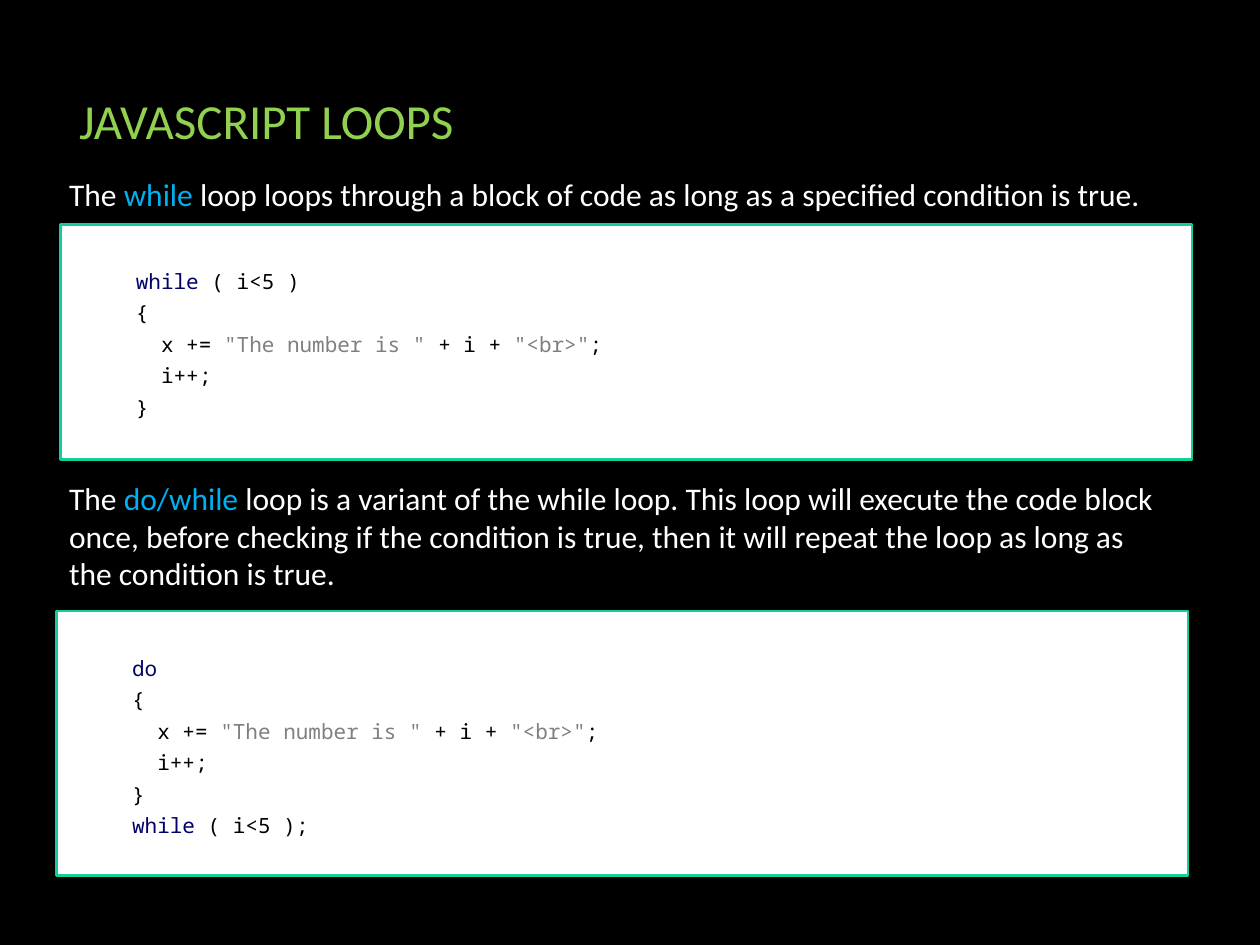
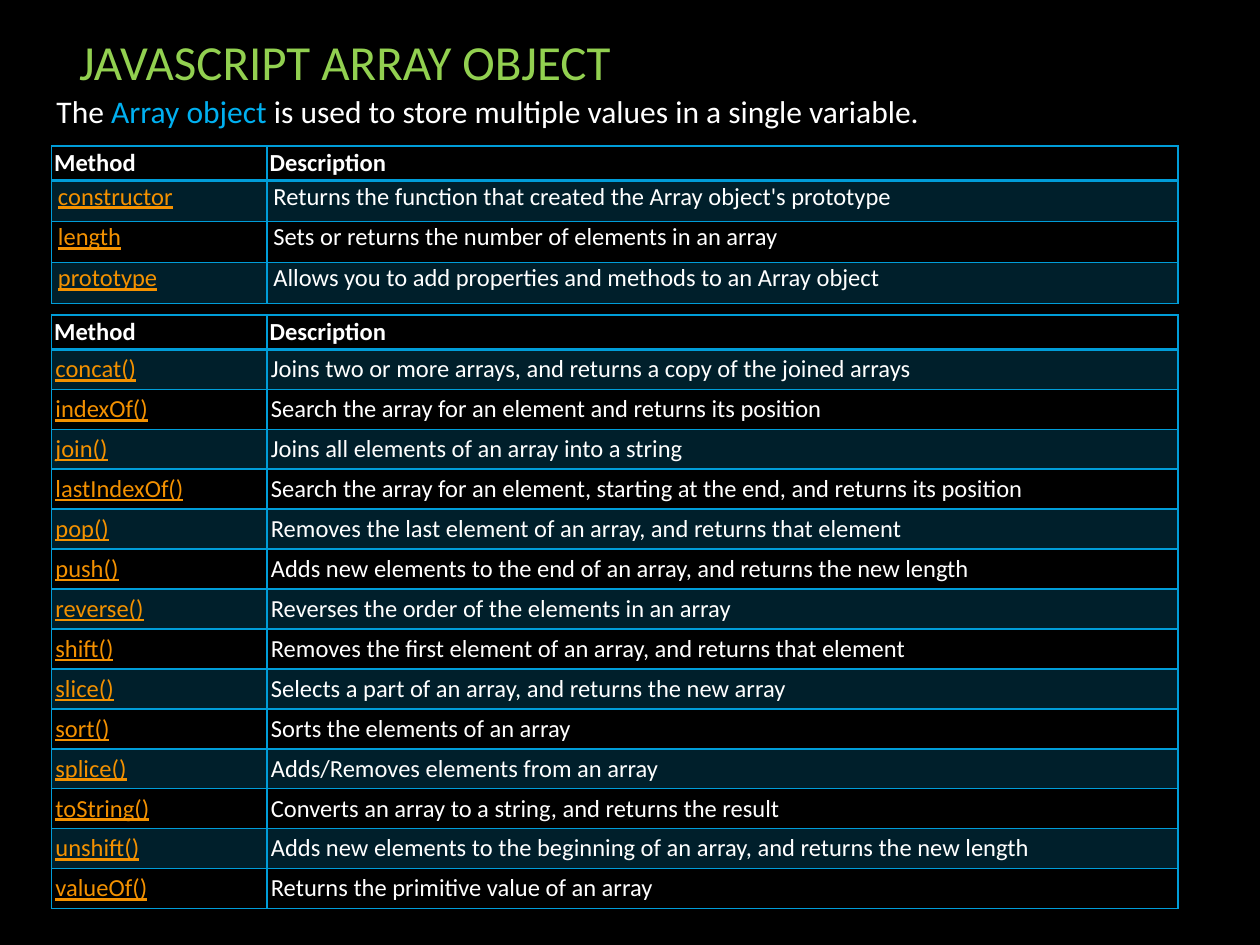
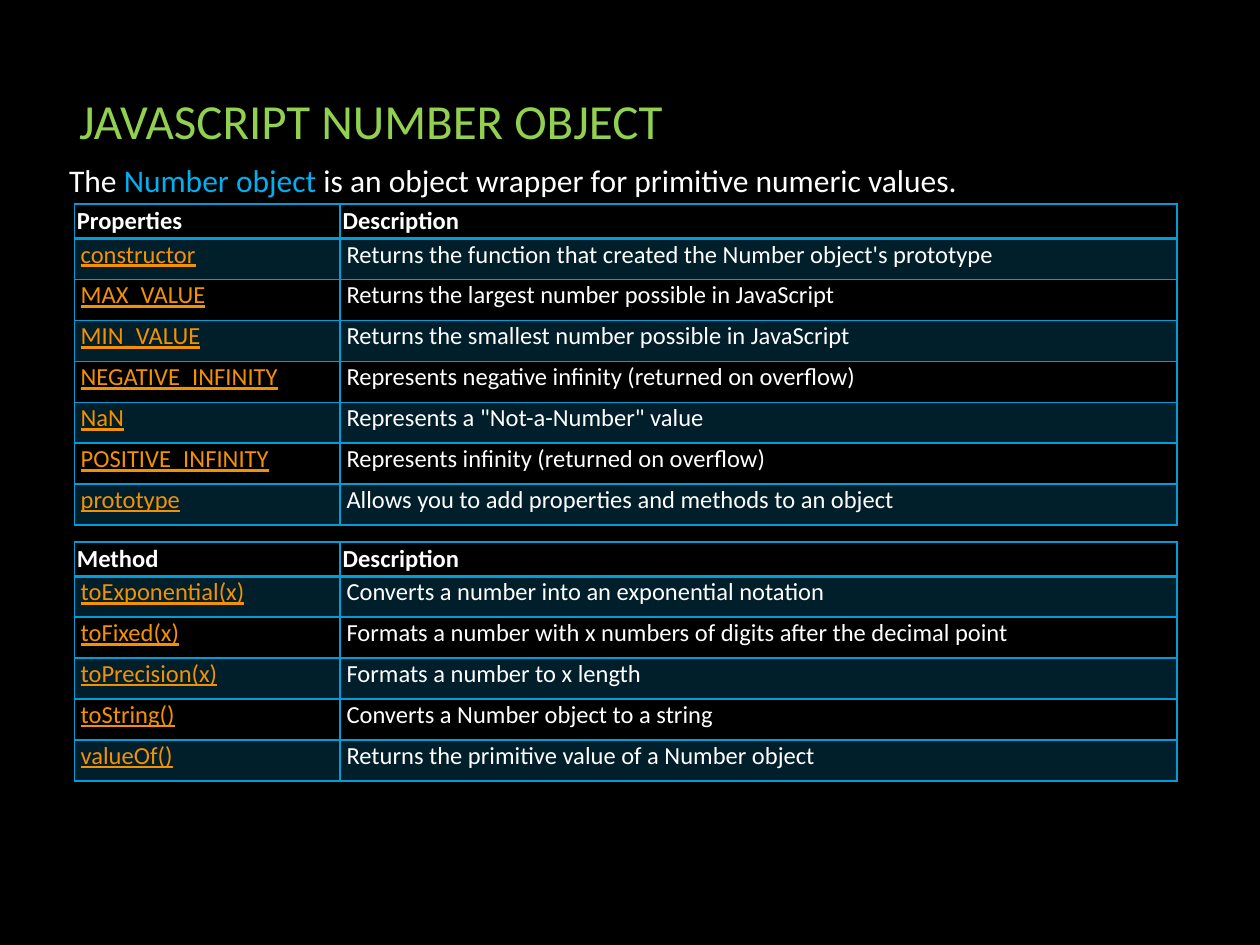
from copy import deepcopy
from dataclasses import dataclass

from lxml.etree import SubElement
from pptx import Presentation
from pptx.dml.color import RGBColor as Rgb
from pptx.enum.shapes import MSO_SHAPE as Preset
from pptx.enum.text import MSO_ANCHOR as Anchor
from pptx.oxml.ns import qn
from pptx.util import Inches, Pt

# The grid: 100 columns by 75 rows of equal squares
SLIDE_WIDTH, SLIDE_HEIGHT = Inches(10), Inches(7.5)
COLUMNS, ROWS = 100, 75


def cols(count: float) -> int:
    return round(SLIDE_WIDTH * count / COLUMNS)


def rows(count: float) -> int:
    return round(SLIDE_HEIGHT * count / ROWS)


@dataclass(frozen=True)
class Theme:
    background: str = "000000"
    title: str = "92D050"
    text: str = "FFFFFF"
    term: str = "00B0F0"
    link: str = "F49100"
    grid: str = "009DD9"
    band_alpha: int = 20000
    panel: str = "FFFFFF"
    panel_line: str = "10CF9B"
    code: str = "000000"
    keyword: str = "000066"
    literal: str = "808080"
    font: str = "Calibri"
    code_font: str = "Noto Sans Mono"
    title_size: int = 28
    body_size: int = 18
    table_size: int = 14
    code_size: int = 12
    code_leading: int = 18
    cell_leading: float = 12.7


THEME = Theme()


@dataclass(frozen=True)
class Box:
    """A rectangle in grid columns and rows."""
    left: float
    top: float
    width: float
    height: float

    def place(self) -> tuple[int, int, int, int]:
        return cols(self.left), rows(self.top), cols(self.width), rows(self.height)


@dataclass(frozen=True)
class Span:
    text: str
    color: str = THEME.text


@dataclass(frozen=True)
class CellStyle:
    """Body cell measures in grid units, with an optional fixed leading."""
    inset_x: float
    inset_y: float
    height: float
    leading: float | None = None


@dataclass(frozen=True)
class Listing:
    """A two-column reference table."""
    left: float
    top: float
    widths: tuple[float, float]
    style: CellStyle
    heading: str
    entries: list[tuple[str, str]]


ROOMY = CellStyle(0.5, 0.7, 3.25, THEME.cell_leading)
TIGHT = CellStyle(0.3, 0.4, 3.17)
HEADER = CellStyle(0.2, 0.2, 2.7)


# Text
def style_run(run, color: str, size: float, font: str) -> None:
    run.font.name = font
    run.font.size = Pt(size)
    run.font.color.rgb = Rgb.from_string(color)


def write_spans(para, spans: list[Span], size: float, font: str) -> None:
    for span in spans:
        for index, line in enumerate(span.text.split("\n")):
            if index:
                para.add_line_break()
            if line:
                run = para.add_run()
                run.text = line
                style_run(run, span.color, size, font)
    # Line breaks take the format of the first run
    for line_break in para._p.findall(qn("a:br")):
        line_break.append(deepcopy(para.runs[0].font._element))


def add_text(page, box: Box, spans: list[Span], size: float, anchor=Anchor.TOP) -> None:
    frame = page.shapes.add_textbox(*box.place()).text_frame
    frame.word_wrap = True
    frame.vertical_anchor = anchor
    write_spans(frame.paragraphs[0], spans, size, THEME.font)


def add_page(deck, title: str, title_top: float = 6):
    page = deck.slides.add_slide(deck.slide_layouts[6])
    page.background.fill.solid()
    page.background.fill.fore_color.rgb = Rgb.from_string(THEME.background)
    add_text(page, Box(5.3, title_top, 89.5, 7.1), [Span(title, THEME.title)],
             THEME.title_size, Anchor.MIDDLE)
    return page


def add_intro(page, left: float, top: float, before: str, term: str, after: str,
              height: float = 4) -> None:
    spans = [Span(before), Span(term, THEME.term), Span(after)]
    add_text(page, Box(left, top, 89, height), spans, THEME.body_size)


# Code panels
def add_code(page, box: Box, spans: list[Span]) -> None:
    panel = page.shapes.add_shape(Preset.RECTANGLE, *box.place())
    panel.shadow.inherit = False
    panel.fill.solid()
    panel.fill.fore_color.rgb = Rgb.from_string(THEME.panel)
    panel.line.color.rgb = Rgb.from_string(THEME.panel_line)
    panel.line.width = Pt(1.5)
    frame = panel.text_frame
    frame.word_wrap = True
    frame.vertical_anchor = Anchor.TOP
    frame.margin_top = rows(0.5) + Pt(THEME.code_leading)
    para = frame.paragraphs[0]
    para.level = 1
    para.line_spacing = Pt(THEME.code_leading)
    properties = para._p.get_or_add_pPr()
    properties.set("marL", str(cols(5)))
    properties.set("indent", "0")
    properties.set("algn", "l")
    write_spans(para, spans, THEME.code_size, THEME.code_font)


# Tables
def add_border(cell, side: str, width: float) -> None:
    line = SubElement(cell._tc.get_or_add_tcPr(), qn(f"a:{side}"), w=str(Pt(width)))
    fill = SubElement(line, qn("a:solidFill"))
    SubElement(fill, qn("a:srgbClr"), val=THEME.grid)


def fill_cell(cell, text: str, row: int, style: CellStyle, is_link: bool) -> None:
    is_header = row == 0
    cell.margin_left = cell.margin_right = cols(style.inset_x)
    cell.margin_top = cell.margin_bottom = rows(style.inset_y)
    if is_header:
        cell.vertical_anchor = Anchor.MIDDLE

    # The rule under the header is heavier
    add_border(cell, "lnL", 1)
    add_border(cell, "lnR", 1)
    add_border(cell, "lnT", 2 if row == 1 else 1)
    add_border(cell, "lnB", 2 if is_header else 1)
    if row % 2:
        cell.fill.solid()
        cell.fill.fore_color.rgb = Rgb.from_string(THEME.grid)
        color = cell._tc.tcPr.find(qn("a:solidFill")).find(qn("a:srgbClr"))
        SubElement(color, qn("a:alpha"), val=str(THEME.band_alpha))
    else:
        cell.fill.background()

    para = cell.text_frame.paragraphs[0]
    para.text = text
    if style.leading:
        para.line_spacing = Pt(style.leading)
    run = para.runs[0]
    style_run(run, THEME.link if is_link else THEME.text, THEME.table_size, THEME.font)
    run.font.bold = is_header
    run.font.underline = is_link


def add_listing(page, listing: Listing) -> None:
    lines = [(listing.heading, "Description"), *listing.entries]
    height = HEADER.height + listing.style.height * len(listing.entries)
    box = Box(listing.left, listing.top, sum(listing.widths), height)
    table = page.shapes.add_table(len(lines), 2, *box.place()).table
    table.first_row = table.horz_banding = False
    for column, width in zip(table.columns, listing.widths):
        column.width = cols(width)
    for row, line in enumerate(lines):
        style = listing.style if row else HEADER
        table.rows[row].height = rows(style.height)
        for column, text in enumerate(line):
            fill_cell(table.cell(row, column), text, row, style,
                      is_link=row > 0 and column == 0)


# Content
LOOP_BODY = [
    Span("{\n\u00a0 x += ", THEME.code),
    Span('"The number is "', THEME.literal),
    Span(" + i + ", THEME.code),
    Span('"<br>"', THEME.literal),
    Span(";\n\u00a0 i++;\n}", THEME.code),
]
WHILE_CODE = [Span("while", THEME.keyword), Span(" ( i<5 )\n", THEME.code), *LOOP_BODY]
DO_CODE = [Span("do\n", THEME.keyword), *LOOP_BODY,
           Span("\nwhile ", THEME.keyword), Span("( i<5 );", THEME.code)]

ARRAY_PROPERTIES = [
    ("constructor", "Returns the function that created the Array object's prototype"),
    ("length", "Sets or returns the number of elements in an array"),
    ("prototype", "Allows you to add properties and methods to an Array object"),
]
ARRAY_METHODS = [
    ("concat()", "Joins two or more arrays, and returns a copy of the joined arrays"),
    ("indexOf()", "Search the array for an element and returns its position"),
    ("join()", "Joins all elements of an array into a string"),
    ("lastIndexOf()",
     "Search the array for an element, starting at the end, and returns its position"),
    ("pop()", "Removes the last element of an array, and returns that element"),
    ("push()", "Adds new elements to the end of an array, and returns the new length"),
    ("reverse()", "Reverses the order of the elements in an array"),
    ("shift()", "Removes the first element of an array, and returns that element"),
    ("slice()", "Selects a part of an array, and returns the new array"),
    ("sort()", "Sorts the elements of an array"),
    ("splice()", "Adds/Removes elements from an array"),
    ("toString()", "Converts an array to a string, and returns the result"),
    ("unshift()",
     "Adds new elements to the beginning of an array, and returns the new length"),
    ("valueOf()", "Returns the primitive value of an array"),
]
NUMBER_PROPERTIES = [
    ("constructor", "Returns the function that created the Number object's prototype"),
    ("MAX_VALUE", "Returns the largest number possible in JavaScript"),
    ("MIN_VALUE", "Returns the smallest number possible in JavaScript"),
    ("NEGATIVE_INFINITY", "Represents negative infinity (returned on overflow)"),
    ("NaN", 'Represents a "Not-a-Number" value'),
    ("POSITIVE_INFINITY", "Represents infinity (returned on overflow)"),
    ("prototype", "Allows you to add properties and methods to an object"),
]
NUMBER_METHODS = [
    ("toExponential(x)", "Converts a number into an exponential notation"),
    ("toFixed(x)", "Formats a number with x numbers of digits after the decimal point"),
    ("toPrecision(x)", "Formats a number to x length"),
    ("toString()", "Converts a Number object to a string"),
    ("valueOf()", "Returns the primitive value of a Number object"),
]
ARRAY_WIDTHS = (17.1, 72.3)
NUMBER_WIDTHS = (21.1, 66.4)


# Slides
def build_loops(deck) -> None:
    page = add_page(deck, "JAVASCRIPT LOOPS")
    add_intro(page, 4.5, 13.4, "The ", "while ",
              "loop loops through a block of code as long as a specified condition is true.")
    add_code(page, Box(4.8, 17.8, 89.8, 18.7), WHILE_CODE)
    add_intro(page, 4.5, 37.5, "The ", "do/while ",
              "loop is a variant of the while loop. This loop will execute the code block "
              "once, before checking if the condition is true, then it will repeat the loop "
              "as long as the condition is true.", height=10.1)
    add_code(page, Box(4.5, 48.5, 89.8, 21), DO_CODE)


def build_array(deck) -> None:
    page = add_page(deck, "JAVASCRIPT\u00a0ARRAY\u00a0OBJECT", title_top=1.3)
    add_intro(page, 3.5, 6.8, "The ", "Array object",
              " is used to store multiple values in a single variable.")
    add_listing(page, Listing(4.1, 11.6, ARRAY_WIDTHS, ROOMY, "Method", ARRAY_PROPERTIES))
    add_listing(page, Listing(4.1, 25, ARRAY_WIDTHS, TIGHT, "Method", ARRAY_METHODS))


def build_number(deck) -> None:
    page = add_page(deck, "JAVASCRIPT\u00a0NUMBER\u00a0OBJECT")
    add_intro(page, 4.5, 12.3, "The ", "Number object ",
              "is an object wrapper for primitive numeric values.")
    add_listing(page, Listing(5.9, 16.2, NUMBER_WIDTHS, ROOMY, "Properties",
                              NUMBER_PROPERTIES))
    add_listing(page, Listing(5.9, 43, NUMBER_WIDTHS, ROOMY, "Method", NUMBER_METHODS))


def main() -> None:
    deck = Presentation()
    deck.slide_width, deck.slide_height = SLIDE_WIDTH, SLIDE_HEIGHT
    for build in (build_loops, build_array, build_number):
        build(deck)
    deck.save("out.pptx")


main()
